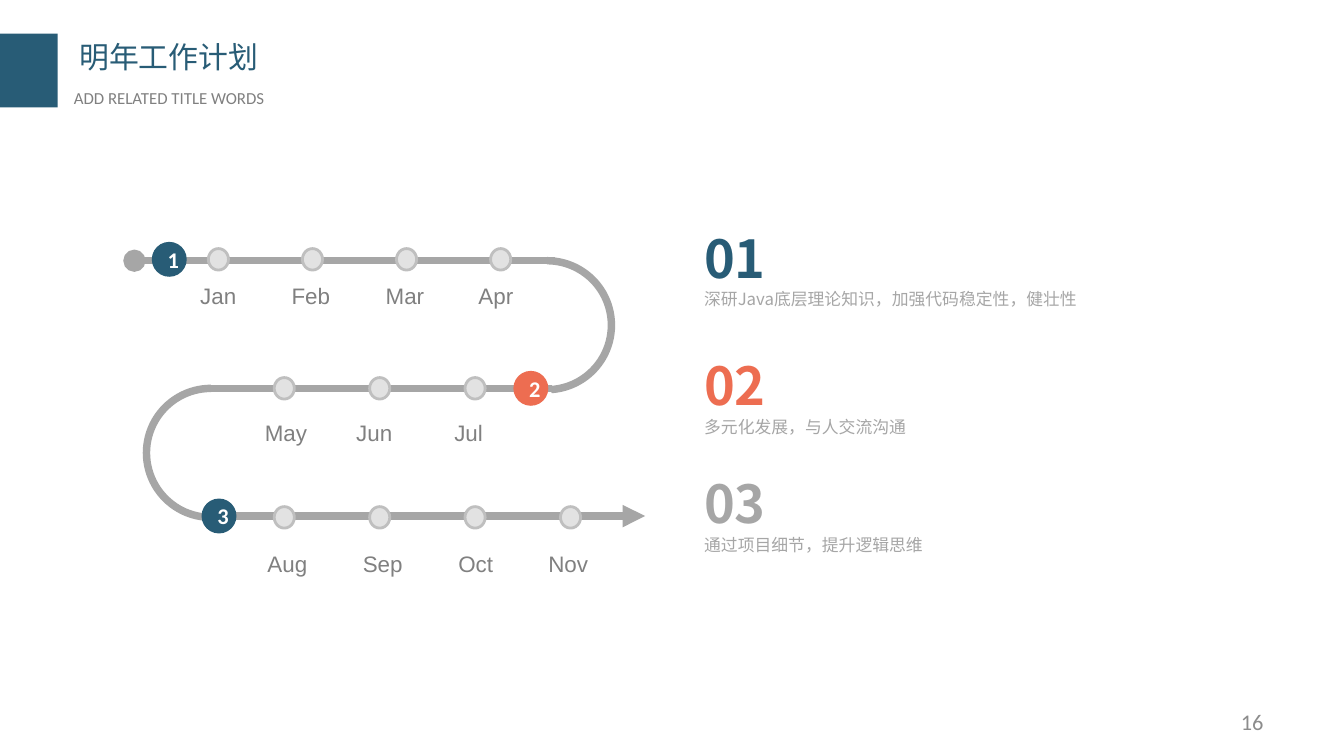
from lxml import etree
from pptx import Presentation
from pptx.dml.color import RGBColor
from pptx.enum.shapes import MSO_CONNECTOR, MSO_SHAPE
from pptx.enum.text import MSO_ANCHOR, MSO_AUTO_SIZE, PP_ALIGN
from pptx.oxml.ns import qn
from pptx.util import Inches, Pt

LINE = MSO_CONNECTOR.STRAIGHT
RECT, OVAL, ARC = MSO_SHAPE.RECTANGLE, MSO_SHAPE.OVAL, MSO_SHAPE.ARC
TOP, MIDDLE = MSO_ANCHOR.TOP, MSO_ANCHOR.MIDDLE
LEFT, CENTER, RIGHT, JUST = PP_ALIGN.LEFT, PP_ALIGN.CENTER, PP_ALIGN.RIGHT, PP_ALIGN.JUSTIFY
FIXED, GROW = MSO_AUTO_SIZE.NONE, MSO_AUTO_SIZE.SHAPE_TO_FIT_TEXT

BLUE, CORAL, GRAY = "285C76", "ED6D51", "A6A6A6"
LABEL, WHITE = "808080", "FFFFFF"
LATIN, HAN, SANS = "Calibri", "Noto Sans CJK SC", "Arial"


def color(code):
    return RGBColor.from_string(code)


class Page:
    track = 4
    pad = (0.08, 0.04)

    def __init__(self, slide):
        self.slide = slide

    def frame(self, box, anchor=TOP, size=FIXED, pad=None):
        frame = box.text_frame
        side, edge = pad or self.pad
        frame.margin_left = frame.margin_right = Inches(side)
        frame.margin_top = frame.margin_bottom = Inches(edge)
        frame.vertical_anchor = anchor
        frame.word_wrap = True
        frame.auto_size = size
        return frame

    def style(self, para, font, size, tint, bold=False, align=LEFT):
        para.alignment = align
        for run in para.runs:
            face = run.font
            face.name, face.size, face.bold = font, Pt(size), bold
            face.color.rgb = color(tint)
            if font == HAN:
                east = etree.SubElement(run._r.get_or_add_rPr(), qn("a:ea"))
                east.set("typeface", font)

    def title(self, text, area):
        box = self.slide.shapes.title
        box.left, box.top, box.width, box.height = map(Inches, area)
        frame = self.frame(box)
        frame.text = text
        self.style(frame.paragraphs[0], HAN, 16, BLUE, align=JUST)

    def text(self, lines, area, anchor=TOP, size=GROW, pad=None):
        """Each line is its wording followed by the arguments of style."""
        box = self.slide.shapes.add_textbox(*map(Inches, area))
        frame = self.frame(box, anchor, size, pad)
        frame.text = "\n".join(line[0] for line in lines)
        for para, line in zip(frame.paragraphs, lines):
            self.style(para, *line[1:])
        return frame

    def months(self, names, area, stops):
        frame = self.text([("\t".join(names), SANS, 12, LABEL)], area)
        props = frame.paragraphs[0]._p.get_or_add_pPr()
        tabs = etree.SubElement(props, qn("a:tabLst"))
        for stop in stops:
            etree.SubElement(tabs, qn("a:tab"), pos=str(Inches(stop)), algn="l")

    def shape(self, kind, area, fill=None, edge=None, width=1.5):
        item = self.slide.shapes.add_shape(kind, *map(Inches, area))
        item.shadow.inherit = False
        if fill:
            item.fill.solid()
            item.fill.fore_color.rgb = color(fill)
        else:
            item.fill.background()
        if edge:
            item.line.color.rgb = color(edge)
            item.line.width = Pt(width)
        else:
            item.line.fill.background()
        return item

    def bend(self, left, top, flip=False):
        arc = self.shape(ARC, (left, top, 0.96, 0.96), edge=GRAY, width=self.track)
        arc.adjustments[0], arc.adjustments[1] = 162, 51.72
        if flip:
            arc._element.spPr.find(qn("a:xfrm")).set("flipH", "1")

    def line(self, start, end, level, head=None, tail=None):
        ends = map(Inches, (start, level, end, level))
        item = self.slide.shapes.add_connector(LINE, *ends)
        item.line.color.rgb = color(GRAY)
        item.line.width = Pt(self.track)
        stroke = item.line._get_or_add_ln()
        for tag, kind in (("a:headEnd", head), ("a:tailEnd", tail)):
            if kind:
                etree.SubElement(stroke, qn(tag), type=kind)
        etree.SubElement(item._element.spPr, qn("a:effectLst"))

    def dot(self, left, top):
        self.shape(OVAL, (left, top, 0.15, 0.16), "E2E2E2", "BFBFBF")

    def badge(self, text, left, top, fill):
        item = self.shape(OVAL, (left, top, 0.26, 0.26), fill)
        frame = self.frame(item, MIDDLE)
        frame.text = text
        self.style(frame.paragraphs[0], LATIN, 12, WHITE, True, CENTER)


def main():
    deck = Presentation()
    deck.slide_width = Inches(10)
    deck.slide_height = deck.slide_width * 9 // 16
    page = Page(deck.slides.add_slide(deck.slide_layouts[5]))

    # Heading
    page.shape(RECT, (0, 0.25, 0.43, 0.55), BLUE)
    page.title("明年工作计划", (0.51, 0.25, 2.01, 0.35))
    page.text([("ADD RELATED TITLE WORDS", LATIN, 9, LABEL, False, JUST)],
              (0.47, 0.61, 2.23, 0.23))

    # Winding track
    page.line(1, 4.13, 1.94, head="oval")
    page.line(1.54, 4.11, 2.89)
    page.line(1.52, 4.8, 3.84, tail="triangle")
    page.bend(3.59, 1.94)
    page.bend(1.09, 2.89, flip=True)

    # Months: names, first dot, gap, dot top, label area, tab stops
    rows = [
        (("Jan", "Feb", "Mar", "Apr"), 1.55, 0.7, 1.85,
         (1.41, 2.06, 2.58, 0.28), (0.68, 1.38, 2.07)),
        (("May", "Jun", "Jul"), 2.04, 0.71, 2.81,
         (1.89, 3.08, 2.58, 0.28), (0.68, 1.41)),
        (("Aug", "Sep", "Oct", "Nov"), 2.04, 0.71, 3.77,
         (1.91, 4.05, 2.91, 0.28), (0.71, 1.42, 2.09)),
    ]
    for names, first, gap, level, area, stops in rows:
        for step in range(len(names)):
            page.dot(first + gap * step, level)
        page.months(names, area, stops)

    # Goals: badge place, colours, text top, wording
    goals = [
        (1.13, 1.8, BLUE, BLUE, 1.64, "深研Java底层理论知识，加强代码稳定性，健壮性"),
        (3.82, 2.76, CORAL, CORAL, 2.59, "多元化发展，与人交流沟通"),
        (1.5, 3.71, BLUE, GRAY, 3.47, "通过项目细节，提升逻辑思维"),
    ]
    for rank, (left, level, fill, tint, top, words) in enumerate(goals, 1):
        page.badge(str(rank), left, level, fill)
        page.text([(f"{rank:02}", HAN, 28, tint, True), (words, HAN, 9, GRAY)],
                  (5.16, top, 3.94, 0.7))

    # Page number
    page.text([("16", LATIN, 12, "8C8C8C", False, RIGHT)],
              (7.17, 5.22, 2.33, 0.3), MIDDLE, FIXED, (0.1, 0.05))

    deck.save("out.pptx")


if __name__ == "__main__":
    main()
